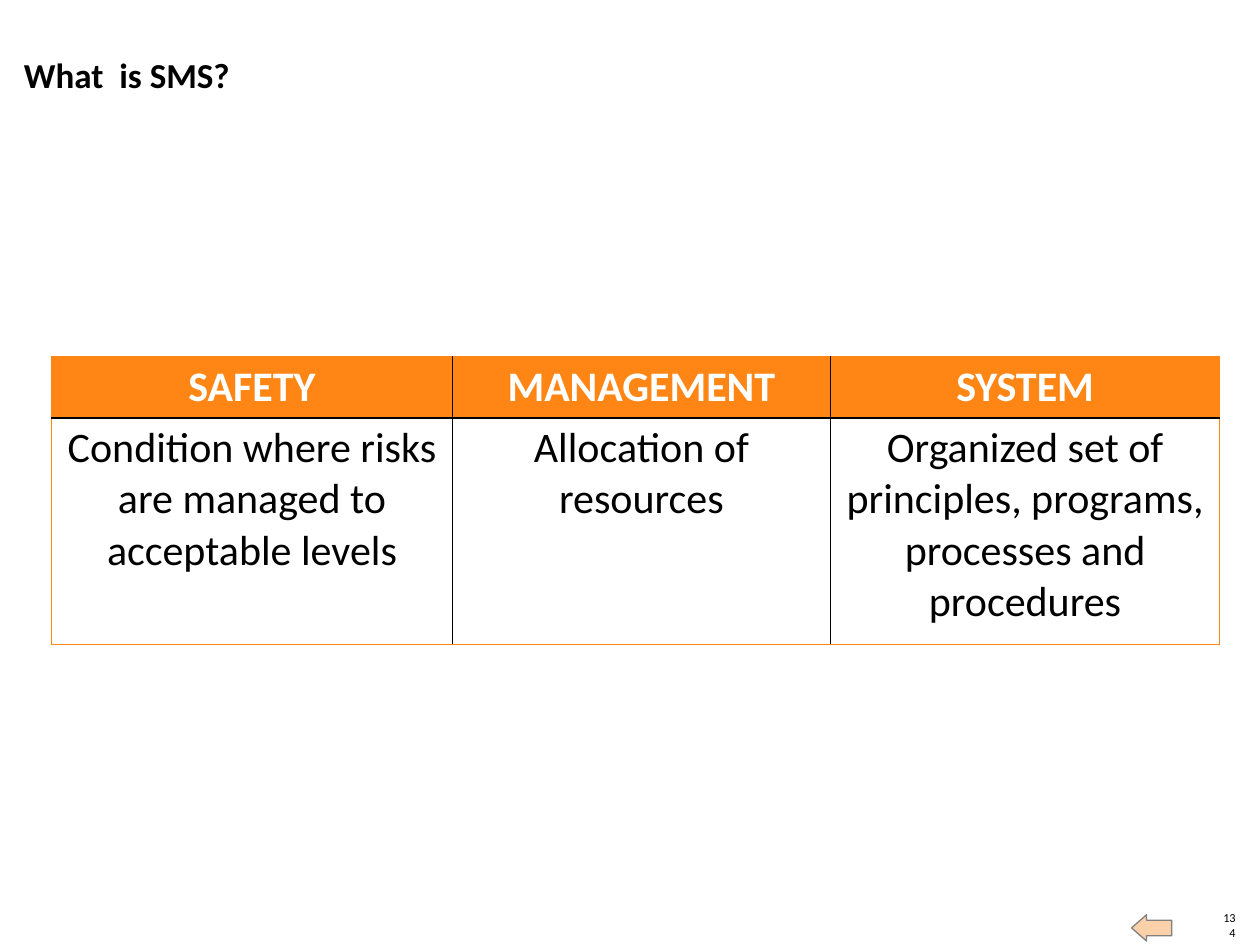
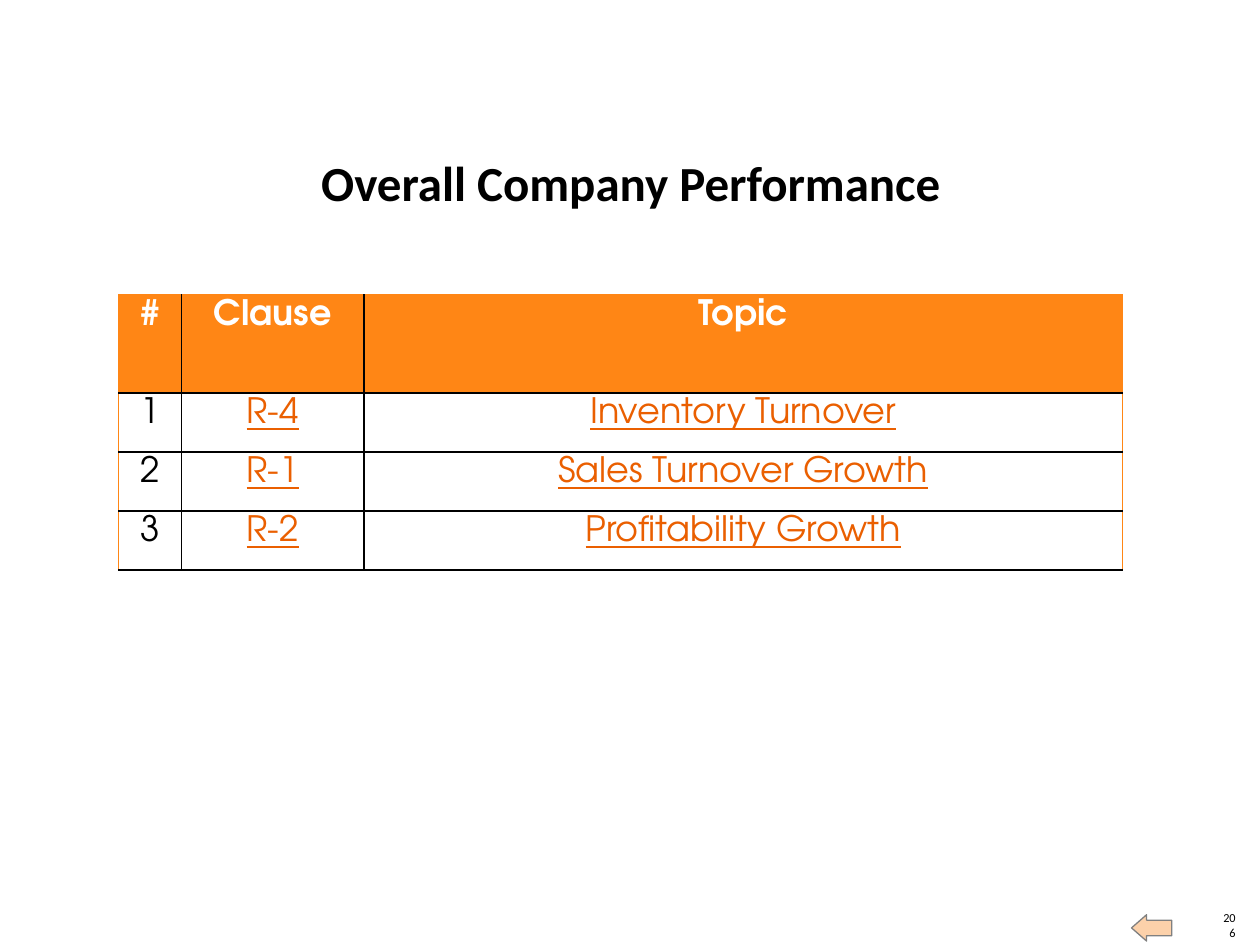
from lxml import etree
from pptx import Presentation
from pptx.dml.color import RGBColor
from pptx.enum.shapes import MSO_SHAPE
from pptx.enum.text import MSO_ANCHOR, MSO_AUTO_SIZE, PP_ALIGN
from pptx.oxml.ns import qn
from pptx.util import Cm, Pt

ARROW = MSO_SHAPE.RIGHT_ARROW
TOP, MIDDLE, BOTTOM = MSO_ANCHOR.TOP, MSO_ANCHOR.MIDDLE, MSO_ANCHOR.BOTTOM
FIXED = MSO_AUTO_SIZE.NONE
LEFT, CENTER, RIGHT = PP_ALIGN.LEFT, PP_ALIGN.CENTER, PP_ALIGN.RIGHT

BLACK, WHITE, ORANGE = "000000", "FFFFFF", "FF8615"
LINK, PEACH, GRAY = "EA5F00", "FCD1AA", "808080"
SANS, ROUND = "Calibri", "TeX Gyre Adventor"
INNER, OUTER = (BLACK, 1), (ORANGE, 0.75)


def rgb(code):
    return RGBColor.from_string(code)


def write(frame, text, size, font, color, align, bold=False, line=False):
    para = frame.paragraphs[0]
    para.alignment = align
    run = para.add_run()
    run.text = text
    run.font.size = Pt(size)
    run.font.name = font
    run.font.bold = bold
    run.font.underline = line
    run.font.color.rgb = rgb(color)


pages = [
    {
        "title": "What  is SMS?", "spot": (0.48, 1.07, 19.43, 0.86),
        "size": 20, "align": LEFT, "number": "134",
        "left": 1.04, "top": 7.19,
        "cols": [8.08, 7.62, 7.85], "rows": [1.22, 4.57],
        "font": SANS, "text": 24, "head": MIDDLE, "links": False, "base": OUTER,
        "cells": [
            ["SAFETY", "MANAGEMENT", "SYSTEM"],
            ["Condition where risks are managed to acceptable levels",
             "Allocation of resources",
             "Organized set of principles, programs, processes and procedures"],
        ],
    },
    {
        "title": "Overall Company Performance", "spot": (3, 3.07, 19.43, 1.19),
        "size": 28, "align": CENTER, "number": "206",
        "left": 2.39, "top": 5.94,
        "cols": [1.27, 3.68, 15.29], "rows": [1.98, 1.19, 1.19, 1.19],
        "font": ROUND, "text": 20, "head": TOP, "links": True, "base": INNER,
        "cells": [
            ["#", "Clause", "Topic"],
            ["1", "R-4", "Inventory Turnover"],
            ["2", "R-1", "Sales Turnover Growth"],
            ["3", "R-2", "Profitability Growth"],
        ],
    },
]

deck = Presentation()
deck.slide_width, deck.slide_height = Cm(25.4), Cm(19.05)

for page in pages:
    slide = deck.slides.add_slide(deck.slide_layouts[5])

    title = slide.shapes.title
    title.left, title.top, title.width, title.height = map(Cm, page["spot"])
    number = slide.shapes.add_textbox(Cm(24.61), Cm(18.64), Cm(0.3), Cm(0.3))
    for box in (title, number):
        frame = box.text_frame
        frame.word_wrap = True
        frame.auto_size = FIXED
        frame.vertical_anchor = BOTTOM
        frame.margin_left = frame.margin_right = 0
        frame.margin_top = frame.margin_bottom = 0
    write(title.text_frame, page["title"], page["size"], SANS, BLACK,
          page["align"], bold=True)
    write(number.text_frame, page["number"], 7, SANS, BLACK, RIGHT)

    arrow = slide.shapes.add_shape(ARROW, Cm(22.81), Cm(18.44), Cm(0.81), Cm(0.53))
    arrow.rotation = 180
    arrow.adjustments[0], arrow.adjustments[1] = 0.59, 0.57
    arrow.shadow.inherit = False
    arrow.fill.solid()
    arrow.fill.fore_color.rgb = rgb(PEACH)
    arrow.line.color.rgb = rgb(GRAY)
    arrow.line.width = Pt(0.75)

    cols, rows = page["cols"], page["rows"]
    grid = slide.shapes.add_table(
        len(rows), len(cols), Cm(page["left"]), Cm(page["top"]),
        Cm(sum(cols)), Cm(sum(rows))).table
    grid.horz_banding = False
    for col, width in zip(grid.columns, cols):
        col.width = Cm(width)
    for row, height in zip(grid.rows, rows):
        row.height = Cm(height)

    for r, line in enumerate(page["cells"]):
        for c, text in enumerate(line):
            cell = grid.cell(r, c)
            head = r == 0
            link = page["links"] and not head and c > 0
            cell.margin_left = cell.margin_right = Cm(0.18)
            cell.margin_top = cell.margin_bottom = Cm(0.1)
            cell.vertical_anchor = page["head"] if head else TOP
            color = WHITE if head else LINK if link else BLACK
            write(cell.text_frame, text, page["text"], page["font"], color,
                  CENTER, bold=head, line=link)

            edges = {
                "a:lnL": OUTER if c == 0 else INNER,
                "a:lnR": OUTER if c == len(cols) - 1 else INNER,
                "a:lnT": OUTER if head else INNER,
                "a:lnB": page["base"] if r == len(rows) - 1 else INNER,
            }
            props = cell._tc.get_or_add_tcPr()
            for tag, (tint, width) in edges.items():
                edge = etree.SubElement(props, qn(tag), w=str(Pt(width)))
                fill = etree.SubElement(edge, qn("a:solidFill"))
                etree.SubElement(fill, qn("a:srgbClr"), val=tint)
            cell.fill.solid()
            cell.fill.fore_color.rgb = rgb(ORANGE if head else WHITE)

deck.save("out.pptx")
